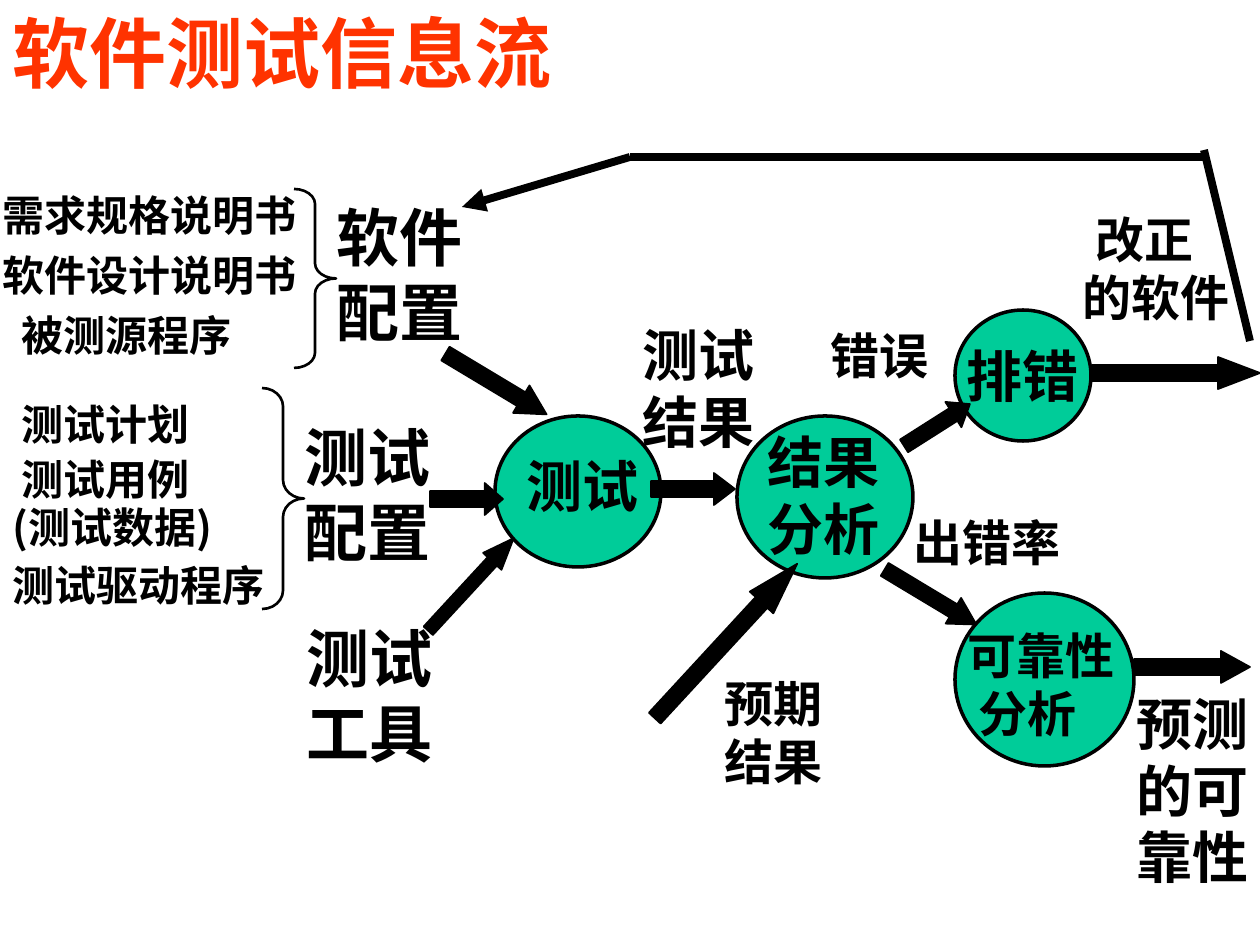
from lxml import etree
from pptx import Presentation
from pptx.dml.color import RGBColor
from pptx.enum.shapes import MSO_CONNECTOR, MSO_SHAPE
from pptx.enum.text import MSO_ANCHOR, MSO_AUTO_SIZE, PP_ALIGN
from pptx.oxml.ns import qn
from pptx.util import Pt

STRAIGHT = MSO_CONNECTOR.STRAIGHT
ELLIPSE, ARROW, BRACE = MSO_SHAPE.OVAL, MSO_SHAPE.RIGHT_ARROW, MSO_SHAPE.RIGHT_BRACE
TOP, LEFT, NO_FIT = MSO_ANCHOR.TOP, PP_ALIGN.LEFT, MSO_AUTO_SIZE.NONE
FONT = "Noto Sans CJK SC"
BLACK, GREEN, RED = "000000", "00CC99", "FF3300"
PX_PER_INCH = 126
LINE_HEIGHT = 1.19  # height of a single line, in ems


def px(length):
    return round(length * 914400 / PX_PER_INCH)


def paint(target, color):
    target.rgb = RGBColor.from_string(color)


def fill_frame(frame, lines, size, color=BLACK):
    """Each line is (text, indent px, line spacing, space before pt)."""
    frame.word_wrap = True
    frame.auto_size = NO_FIT
    frame.vertical_anchor = TOP
    for index, (text, indent, spacing, before) in enumerate(lines):
        para = frame.paragraphs[0] if index == 0 else frame.add_paragraph()
        para.alignment = LEFT
        para.line_spacing = Pt(round(size * LINE_HEIGHT * spacing, 1))
        para.space_before = Pt(before)
        para._p.get_or_add_pPr().set("marL", str(px(indent)))
        span = para.add_run()
        span.text = text
        span.font.size = Pt(size)
        span.font.bold = True
        paint(span.font.color, color)
        span.font.name = FONT
        east_asian = etree.SubElement(span._r.get_or_add_rPr(), qn("a:ea"))
        east_asian.set("typeface", FONT)


def plain(*texts):
    return [(text, 0, 1, 0) for text in texts]


def add_label(page, box, lines, size):
    label = page.shapes.add_textbox(*map(px, box))
    fill_frame(label.text_frame, lines, size)


def add_outline(page, kind, box, width, fill=None):
    shape = page.shapes.add_shape(kind, *map(px, box))
    shape.shadow.inherit = False
    if fill:
        shape.fill.solid()
        paint(shape.fill.fore_color, fill)
    else:
        shape.fill.background()
    paint(shape.line.color, BLACK)
    shape.line.width = Pt(width)
    return shape


def add_node(page, box, label_offset, label_size, lines, size):
    """A process circle with its label placed relative to the circle."""
    add_outline(page, ELLIPSE, box, 2, GREEN)
    (left, top), (dx, dy) = box[:2], label_offset
    add_label(page, (left + dx, top + dy, *label_size), lines, size)


def add_arrow(page, box, angle=0):
    """A block arrow whose head takes a quarter of its length."""
    arrow = add_outline(page, ARROW, box, 1, BLACK)
    arrow.adjustments[0] = 0.5
    arrow.adjustments[1] = box[2] / 4 / box[3]
    arrow.rotation = angle


def add_brace_list(page, list_box, lines, brace_box, curl):
    """A list of documents closed by a brace."""
    brace = add_outline(page, BRACE, brace_box, 1.5)
    brace.adjustments[0] = curl
    add_label(page, list_box, lines, 24)


def add_feedback(page, points, head_segment):
    """The thick line leading the corrected software back."""
    for index, (start, end) in enumerate(points):
        line = page.shapes.add_connector(STRAIGHT, *map(px, start + end))
        paint(line.line.color, BLACK)
        line.line.width = Pt(4.5)
        if index == head_segment:
            etree.SubElement(line.line._get_or_add_ln(), qn("a:tailEnd")).set("type", "triangle")
        etree.SubElement(line._element.spPr, qn("a:effectLst"))


def add_title(page, box, text):
    title = page.shapes.title
    title.left, title.top, title.width, title.height = map(px, box)
    fill_frame(title.text_frame, plain(text), 44, RED)


def build_flow(page):
    # Title
    add_title(page, (0, 0, 1260, 105), "软件测试信息流")

    # Process circles
    add_node(page, (495, 416, 166, 151), (19, 30), (212, 79), plain("测试"), 32)
    add_node(page, (737, 416, 176, 162), (18, 6), (212, 146), plain("结果", "分析"), 32)
    add_node(page, (955, 310, 136, 131), (-1, 26), (212, 79), plain("排错"), 32)
    add_node(page, (955, 593, 179, 173), (0, 27), (275, 130),
             [("可靠性", 0, 1, 0), ("分析", 11, 1, 0)], 28)

    # Inputs and flow labels
    for box, lines, size in [
        ((324, 193, 180, 164), plain("软件", "配置"), 36),
        ((292, 413, 170, 164), plain("测试", "配置"), 36),
        ((294, 614, 220, 164), plain("测试", "工具"), 36),
        ((630, 315, 180, 146), plain("测试", "结果"), 32),
        ((818, 320, 180, 71), plain("错误"), 28),
        ((712, 668, 190, 130), plain("预期", "结果"), 28),
        ((901, 507, 243, 71), plain("出错率"), 28),
        ((1070, 204, 212, 132), [("改正", 13, 1, 0), ("的软件", 0, 1, 0)], 28),
        ((1124, 684, 158, 214), plain("预测", "的可", "靠性"), 32),
    ]:
        add_label(page, box, lines, size)

    # Block arrows
    for box, angle in [
        ((430, 483, 73, 32), 0),
        ((437, 368, 118, 32), 31),
        ((408, 572, 126, 25), 312.7),
        ((1092, 357, 168, 32), 0),
        ((898, 410, 78, 30), 327.6),
        ((877, 582, 107, 30), 31),
        ((621, 625, 210, 32), 312.7),
        ((651, 473, 84, 32), 0),
        ((1134, 651, 116, 32), 0),
    ]:
        add_arrow(page, box, angle)

    # Document lists
    add_brace_list(page, (-10, 174, 336, 194),
                   [("需求规格说明书", 0, 1.2, 0), ("软件设计说明书", 0, 1.2, 0),
                    ("被测源程序", 19, 1.2, 0)],
                   (294, 189, 42, 179), 0.36)
    add_brace_list(page, (0, 388, 294, 231),
                   [("测试计划", 9, 1.1, 0), ("测试用例", 9, 1.1, 0),
                    ("(测试数据)", 0, 0.95, 0), ("测试驱动程序", 0, 0.95, 6)],
                   (262, 388, 42, 221), 0.44)

    # Feedback to the software configuration
    corner, bend = (1207, 157), (630, 157)
    add_feedback(page, [((1250, 341), (1204, 150)), (corner, bend), (bend, (462, 207))], 2)


def main():
    deck = Presentation()
    deck.slide_width, deck.slide_height = px(1260), px(945)
    build_flow(deck.slides.add_slide(deck.slide_layouts[5]))
    deck.save("out.pptx")


if __name__ == "__main__":
    main()
